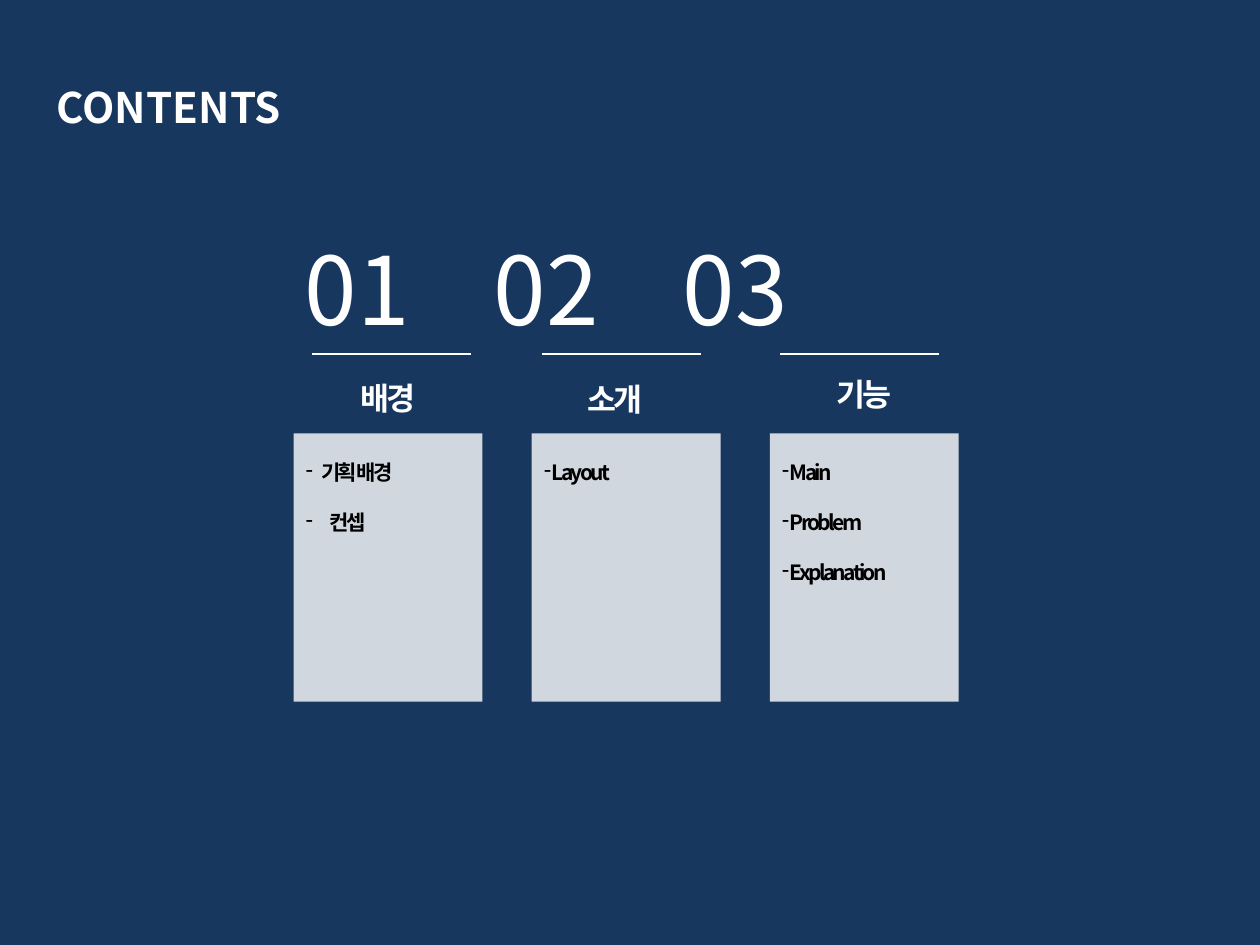
import pptx
import pptx.util
import pptx.dml.color
import pptx.enum.text
import pptx.enum.shapes
import pptx.oxml.ns
import lxml.etree

COLS, ROWS = 10, 7.5
UNIT = pptx.util.Inches(1)
SANS = "Noto Sans CJK KR"
WHITE, BLACK, NAVY = "FFFFFF", "000000", "17375E"
LEFT, STEP, WIDE = 2.33, 1.89, 1.5
PARTS = [
    ("01", 2.48, "배경", 3.08, 2.96, [("기획 배경", 0.12), ("컨셉", 0.19)]),
    ("02", 4.3, "소개", 4.88, 2.97, [("Layout", 0.06)]),
    ("03", 6.19, "기능", 6.86, 2.93,
     [("Main", 0.06), ("Problem", 0.06), ("Explanation", 0.06)]),
]


def grid(*cells):
    return [round(cell * UNIT) for cell in cells]


def tint(color, code):
    color.rgb = pptx.dml.color.RGBColor.from_string(code)


def paint(fill, code):
    fill.solid()
    tint(fill.fore_color, code)


def sub(node, tag, **attrs):
    return lxml.etree.SubElement(node, pptx.oxml.ns.qn(tag), attrs)


def write(para, text, size, code=WHITE, bold=True, face=SANS, track=0):
    para.line_spacing = pptx.util.Pt(round(size * 1.19, 1))
    run = para.add_run()
    run.text = text
    font = run.font
    font.size, font.bold, font.name = pptx.util.Pt(size), bold, face
    tint(font.color, code)
    if track:
        run._r.get_or_add_rPr().set("spc", str(round(track * 100)))


def setup(frame):
    frame.word_wrap = True
    frame.auto_size = pptx.enum.text.MSO_AUTO_SIZE.NONE
    frame.vertical_anchor = pptx.enum.text.MSO_ANCHOR.TOP
    return frame


def add_text(slide, *cells):
    return setup(slide.shapes.add_textbox(*grid(*cells)).text_frame)


def add_title(slide, text):
    title = slide.shapes.title
    title.left, title.top, title.width, title.height = grid(0.35, 0.6, 4.57, 0.5)
    para = setup(title.text_frame).paragraphs[0]
    para.alignment = pptx.enum.text.PP_ALIGN.LEFT
    write(para, text, 24)


def add_panel(slide, left):
    kind = pptx.enum.shapes.MSO_SHAPE.RECTANGLE
    panel = slide.shapes.add_shape(kind, *grid(left, 3.44, WIDE, 2.13))
    panel.shadow.inherit = False
    paint(panel.fill, WHITE)
    panel.line.fill.background()
    color = panel.fill._xPr.find(".//" + pptx.oxml.ns.qn("a:srgbClr"))
    sub(color, "a:alpha", val="80000")


def add_rule(slide, left):
    kind = pptx.enum.shapes.MSO_CONNECTOR.STRAIGHT
    rule = slide.shapes.add_connector(kind, *grid(left, 2.81, left + 1.26, 2.81))
    tint(rule.line.color, WHITE)
    rule.line.width = pptx.util.Pt(0.75)
    sub(rule._element.spPr, "a:effectLst")


def add_label(slide, text, mid, top):
    para = add_text(slide, mid - WIDE / 2, top, WIDE, 0.4).paragraphs[0]
    para.alignment = pptx.enum.text.PP_ALIGN.CENTER
    write(para, text, 18, face="Arial", track=-1.5)


def add_list(slide, left, items):
    frame = add_text(slide, left, 3.6, WIDE, 1.11)
    for rank, (text, dent) in enumerate(items):
        para = frame.add_paragraph() if rank else frame.paragraphs[0]
        if rank:
            para.space_before = pptx.util.Pt(14.3)
        write(para, text, 12, code=BLACK, track=-1.5)
        props = para._p.get_or_add_pPr()
        gap, = grid(dent)
        props.set("marL", str(gap))
        props.set("indent", str(-gap))
        sub(props, "a:buChar", char="-")


def main():
    deck = pptx.Presentation()
    deck.slide_width, deck.slide_height = grid(COLS, ROWS)
    slide = deck.slides.add_slide(deck.slide_layouts[5])
    paint(slide.background.fill, NAVY)
    add_title(slide, "CONTENTS")
    for rank, (num, start, name, mid, top, items) in enumerate(PARTS):
        left = LEFT + STEP * rank
        add_panel(slide, left)
        head = add_text(slide, 2.32 + 1.5 * rank, 1.79, 1.5, 1.01)
        write(head.paragraphs[0], num, 54, bold=False)
        add_rule(slide, start)
        add_label(slide, name, mid, top)
        add_list(slide, left, items)
    deck.save("out.pptx")


main()
